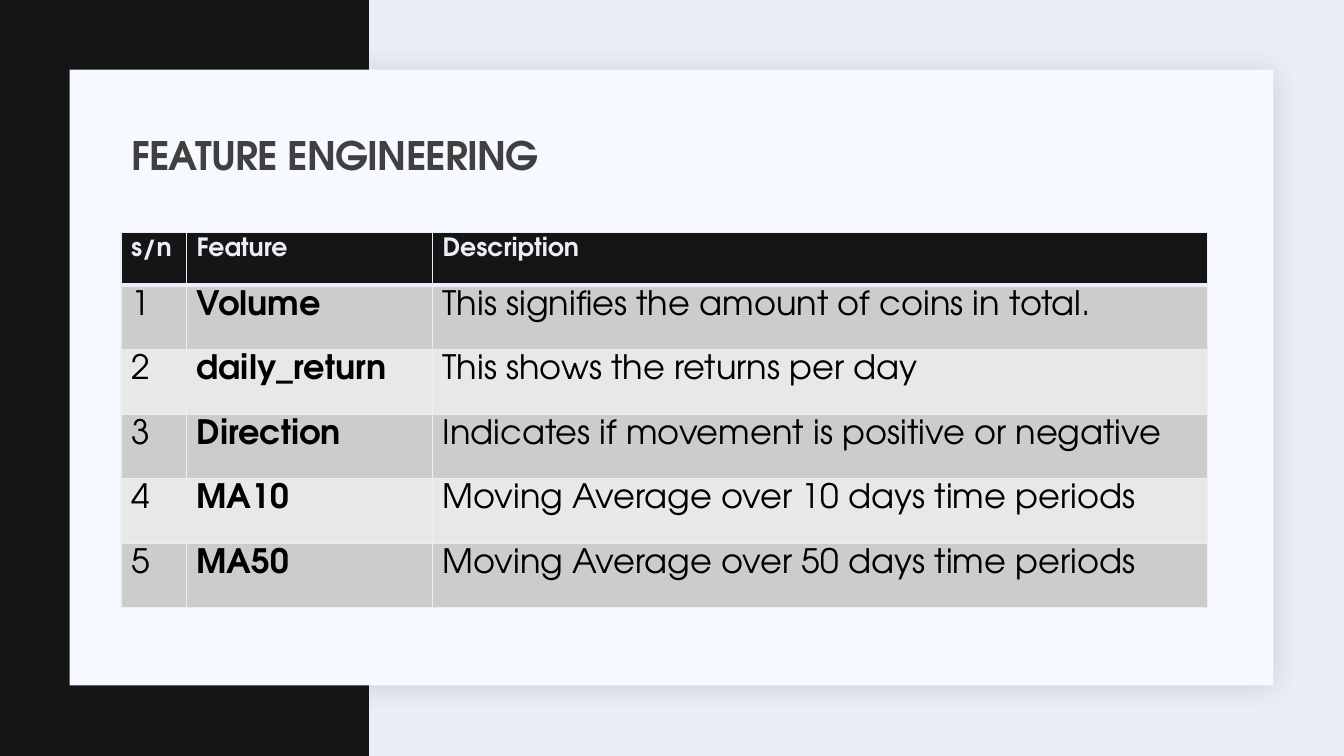
from lxml.etree import SubElement
from pptx import Presentation
from pptx.dml.color import RGBColor
from pptx.enum.shapes import MSO_SHAPE
from pptx.enum.text import MSO_ANCHOR, PP_ALIGN
from pptx.oxml.ns import qn
from pptx.util import Inches, Pt

FONT = "TeX Gyre Adventor"
BLACK = "141514"
PALE = "ECEEF7"
BANDS = ("CCCCCC", "E7E8E7")
COLUMN_WIDTHS = (0.65, 2.44, 7.69)
HEADER_HEIGHT, ROW_HEIGHT = 0.52, 0.64
HEADINGS = ("s/n", "Feature", "Description")
FEATURES = (
    ("Volume", "This signifies the amount of coins in total."),
    ("daily_return", "This shows the returns per day"),
    ("Direction", "Indicates if movement is positive or negative"),
    ("MA10", "Moving Average over 10 days time periods"),
    ("MA50", "Moving Average over 50 days time periods"),
)


def set_fill(fill, color):
    fill.solid()
    fill.fore_color.rgb = RGBColor.from_string(color)


def format_text(text_frame, size, color, bold):
    for run in text_frame.paragraphs[0].runs:
        run.font.name = FONT
        run.font.size = Pt(size)
        run.font.bold = bold
        run.font.color.rgb = RGBColor.from_string(color)


def add_panel(slide, left, top, width, height, color):
    panel = slide.shapes.add_shape(
        MSO_SHAPE.RECTANGLE, Inches(left), Inches(top), Inches(width), Inches(height))
    panel.shadow.inherit = False
    set_fill(panel.fill, color)
    panel.line.fill.background()
    return panel


def add_soft_shadow(shape):
    effects = shape.element.spPr.find(qn("a:effectLst"))
    shadow = SubElement(effects, qn("a:outerShdw"), blurRad=str(Pt(20)),
                        dist=str(Pt(2)), dir=str(45 * 60000), algn="ctr", rotWithShape="0")
    color = SubElement(shadow, qn("a:srgbClr"), val="1F2125")
    SubElement(color, qn("a:alpha"), val="15000")


def set_title(slide, text):
    title = slide.shapes.title
    title.left, title.top = Inches(1.2), Inches(1.03)
    title.width, title.height = Inches(11), Inches(1.07)
    text_frame = title.text_frame
    text_frame.text = text
    text_frame.vertical_anchor = MSO_ANCHOR.MIDDLE
    paragraph = text_frame.paragraphs[0]
    paragraph.alignment = PP_ALIGN.LEFT
    paragraph.line_spacing = 0.9
    format_text(text_frame, 28, "404040", True)
    paragraph.runs[0].font._element.set("spc", "-50")


def set_borders(cell, bottom_width, top_width):
    """Draw the four cell borders; they must precede the fill in the XML."""
    properties = cell._tc.get_or_add_tcPr()
    widths = {"lnL": 1, "lnR": 1, "lnT": top_width, "lnB": bottom_width}
    for side, width in widths.items():
        line = SubElement(properties, qn(f"a:{side}"), w=str(Pt(width)))
        fill = SubElement(line, qn("a:solidFill"))
        SubElement(fill, qn("a:srgbClr"), val=PALE)


def format_cell(cell, text, row, column):
    header = row == 0
    set_borders(cell, 3 if header else 1, 3 if row == 1 else 1)
    set_fill(cell.fill, BLACK if header else BANDS[(row - 1) % 2])
    cell.margin_left = cell.margin_right = Inches(0.1)
    cell.margin_top = cell.margin_bottom = Inches(0.05)
    cell.text_frame.text = text
    if header:
        format_text(cell.text_frame, 18, PALE, True)
    else:
        format_text(cell.text_frame, 24, "000000", column == 1)


def add_feature_table(slide):
    rows = [HEADINGS] + [(str(number), *feature)
                         for number, feature in enumerate(FEATURES, 1)]
    height = HEADER_HEIGHT + ROW_HEIGHT * len(FEATURES)
    table = slide.shapes.add_table(
        len(rows), len(HEADINGS), Inches(1.2), Inches(2.31),
        Inches(sum(COLUMN_WIDTHS)), Inches(height)).table
    for column, width in zip(table.columns, COLUMN_WIDTHS):
        column.width = Inches(width)
    for row_index, values in enumerate(rows):
        table.rows[row_index].height = Inches(ROW_HEIGHT if row_index else HEADER_HEIGHT)
        for column_index, value in enumerate(values):
            format_cell(table.cell(row_index, column_index), value, row_index, column_index)


def main():
    presentation = Presentation()
    presentation.slide_width = Inches(13.33)
    presentation.slide_height = Inches(7.5)
    slide = presentation.slides.add_slide(presentation.slide_layouts[5])
    set_fill(slide.background.fill, PALE)
    side_band = add_panel(slide, 0, 0, 3.66, 7.5, BLACK)
    card = add_panel(slide, 0.69, 0.69, 11.94, 6.11, "F6F9FF")
    add_soft_shadow(card)
    slide.shapes.title.element.addprevious(side_band.element)
    slide.shapes.title.element.addprevious(card.element)
    set_title(slide, "FEATURE ENGINEERING")
    add_feature_table(slide)
    presentation.save("out.pptx")


if __name__ == "__main__":
    main()
